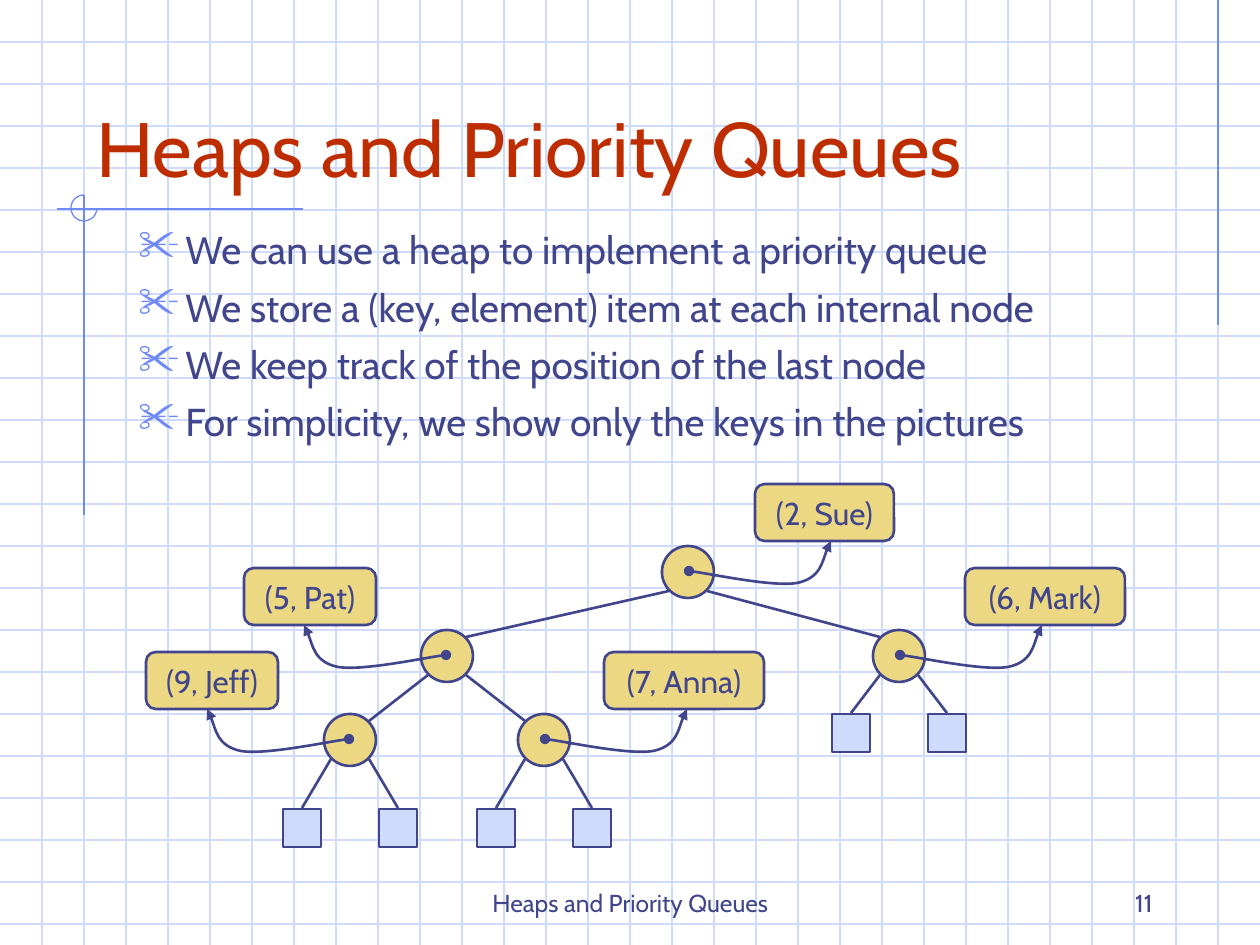
from dataclasses import dataclass

from lxml.etree import SubElement
from pptx import Presentation
from pptx.dml.color import RGBColor as RGB
from pptx.enum.shapes import MSO_CONNECTOR, MSO_SHAPE as SHAPE
from pptx.enum.text import MSO_ANCHOR as ANCHOR, PP_ALIGN as ALIGN
from pptx.oxml.ns import qn
from pptx.util import Emu, Pt

TITLE = "Heaps and Priority Queues"
POINTS = [
    "We can use a heap to implement a priority queue",
    "We store a (key, element) item at each internal node",
    "We keep track of the position of the last node",
    "For simplicity, we show only the keys in the pictures",
]
PAGE_NUMBER = "11"


@dataclass
class HeapNode:
    item: str
    center: tuple
    label_left: int
    label_width: int
    side: int
    children: tuple = ()
    leaf_y: int = 0


HEAP = {
    2: HeapNode("(2, Sue)", (688, 572), 755, 139, 1, children=(5, 6)),
    5: HeapNode("(5, Pat)", (447, 656), 244, 132, -1, children=(9, 7)),
    6: HeapNode("(6, Mark)", (899, 656), 965, 160, 1, leaf_y=733),
    9: HeapNode("(9, Jeff)", (350, 740), 146, 132, -1, leaf_y=828),
    7: HeapNode("(7, Anna)", (544, 740), 604, 160, 1, leaf_y=828),
}


@dataclass(frozen=True)
class Theme:
    font: str = "Cabin"
    ink: RGB = RGB(0x40, 0x45, 0x8C)
    title: RGB = RGB(0xBE, 0x2D, 0x00)
    accent: RGB = RGB(0x6F, 0x89, 0xF7)
    grid: RGB = RGB(0xCF, 0xDB, 0xFD)
    node: RGB = RGB(0xEC, 0xD8, 0x82)
    title_size: float = 44
    body_size: float = 22.2
    label_size: float = 18
    footer_size: float = 14
    thin: float = 0.75
    thick: float = 1.5


THEME = Theme()
WIDTH, HEIGHT = 1260, 945
GRID_STEP = 42
RADIUS, EDGE_INSET = 26, 19
LEAF_SIZE, LEAF_SPREAD = 38, 48
LABEL_RISE, LABEL_HEIGHT = 88, 57
POINTER_STEPS = [(18, 2), (84, 16), (108, 12), (132, 7), (136, -21), (142, -30)]


def px(value):
    return Emu(round(value * 914400 / 126))


def add_line(slide, start, end, color, weight):
    line = slide.shapes.add_connector(MSO_CONNECTOR.STRAIGHT, *map(px, (*start, *end)))
    line.line.color.rgb = color
    line.line.width = Pt(weight)
    SubElement(line._element.spPr, qn("a:effectLst"))


def style_shape(shape, fill, color, weight):
    shape.shadow.inherit = False
    if fill is None:
        shape.fill.background()
    else:
        shape.fill.solid()
        shape.fill.fore_color.rgb = fill
    shape.line.color.rgb = color
    shape.line.width = Pt(weight)


def add_box(slide, kind, box, fill, color=THEME.ink, weight=THEME.thick):
    shape = slide.shapes.add_shape(kind, *map(px, box))
    style_shape(shape, fill, color, weight)
    return shape


def style_paragraph(paragraph, size, color, align):
    paragraph.alignment = align
    paragraph.font.name = THEME.font
    paragraph.font.size = Pt(size)
    paragraph.font.color.rgb = color


def add_text(slide, text, box, size, color, align):
    frame = slide.shapes.add_textbox(*map(px, box)).text_frame
    frame.word_wrap = True
    frame.vertical_anchor = ANCHOR.BOTTOM
    frame.text = text
    style_paragraph(frame.paragraphs[0], size, color, align)


def add_points(slide):
    frame = slide.shapes.add_textbox(*map(px, (126, 220, 1061, 262))).text_frame
    frame.word_wrap = True
    frame.text = "\n".join(POINTS)
    for index, paragraph in enumerate(frame.paragraphs):
        props = paragraph._p.get_or_add_pPr()
        props.set("marL", str(px(47)))
        props.set("indent", str(px(-47)))
        bullet_color = SubElement(props, qn("a:buClr"))
        SubElement(bullet_color, qn("a:srgbClr"), val=str(THEME.accent))
        SubElement(props, qn("a:buSzPct"), val="110000")
        SubElement(props, qn("a:buChar"), char="✂")
        paragraph.space_before = Pt(6 if index else 0)
        style_paragraph(paragraph, THEME.body_size, THEME.ink, ALIGN.LEFT)


def add_background(slide):
    for y in range(GRID_STEP, HEIGHT, GRID_STEP):
        add_line(slide, (0, y), (WIDTH, y), THEME.grid, THEME.thin)
    for x in range(GRID_STEP, WIDTH, GRID_STEP):
        add_line(slide, (x, 0), (x, HEIGHT), THEME.grid, THEME.thin)
    for start, end in [((1218, 0), (1218, 325)), ((303, 209), (57, 209)), ((84, 195), (84, 515))]:
        add_line(slide, start, end, THEME.accent, THEME.thin)
    arc = add_box(slide, SHAPE.ARC, (71, 195, 26, 26), None, THEME.accent, THEME.thin)
    arc.adjustments[0] = 0
    arc.adjustments[1] = 162


def add_centered(slide, kind, center, size):
    fill = THEME.node if kind == SHAPE.OVAL else THEME.grid
    x, y = center
    add_box(slide, kind, (x - size / 2, y - size / 2, size, size), fill)


def add_edge(slide, parent, side, end):
    x, y = parent.center
    add_line(slide, (x + side * EDGE_INSET, y + EDGE_INSET), end, THEME.ink, THEME.thick)


def add_label(slide, node):
    top = node.center[1] - LABEL_RISE
    box = (node.label_left, top, node.label_width, LABEL_HEIGHT)
    label = add_box(slide, SHAPE.ROUNDED_RECTANGLE, box, THEME.node)
    label.adjustments[0] = 0.17
    frame = label.text_frame
    frame.word_wrap = False
    frame.vertical_anchor = ANCHOR.MIDDLE
    frame.text = node.item
    style_paragraph(frame.paragraphs[0], THEME.label_size, THEME.ink, ALIGN.CENTER)


def add_pointer(slide, node):
    x, y = node.center[0] + node.side, node.center[1] - 1
    steps = [(px(x + node.side * dx), px(y + dy)) for dx, dy in POINTER_STEPS]
    builder = slide.shapes.build_freeform(px(x), px(y))
    builder.add_line_segments(steps, close=False)
    pointer = builder.convert_to_shape()
    style_shape(pointer, None, THEME.ink, THEME.thick)
    outline = pointer._element.spPr.find(".//" + qn("a:path"))
    segments = outline.findall(qn("a:lnTo"))
    for first in range(0, len(segments), 3):
        curve = SubElement(outline, qn("a:cubicBezTo"))
        for segment in segments[first:first + 3]:
            curve.append(segment[0])
            outline.remove(segment)
    stroke = pointer._element.spPr.find(qn("a:ln"))
    SubElement(stroke, qn("a:headEnd"), type="oval")
    SubElement(stroke, qn("a:tailEnd"), type="triangle")


def add_heap(slide):
    for node in HEAP.values():
        add_centered(slide, SHAPE.OVAL, node.center, 2 * RADIUS)
        for side, key in zip((-1, 1), node.children):
            x, y = HEAP[key].center
            add_edge(slide, node, side, (x - side * EDGE_INSET, y - EDGE_INSET))
        if node.leaf_y:
            for side in (-1, 1):
                x = node.center[0] + side * LEAF_SPREAD
                add_centered(slide, SHAPE.RECTANGLE, (x, node.leaf_y), LEAF_SIZE)
                add_edge(slide, node, side, (x, node.leaf_y - LEAF_SIZE / 2 - 1))
    for add_part in (add_label, add_pointer):
        for node in HEAP.values():
            add_part(slide, node)


def main():
    deck = Presentation()
    deck.slide_width, deck.slide_height = px(WIDTH), px(HEIGHT)
    slide = deck.slides.add_slide(deck.slide_layouts[6])
    add_background(slide)
    add_text(slide, TITLE, (431, 861, 399, 63), THEME.footer_size, THEME.ink, ALIGN.CENTER)
    add_text(slide, PAGE_NUMBER, (903, 861, 262, 63), THEME.footer_size, THEME.ink, ALIGN.RIGHT)
    add_text(slide, TITLE, (84, 42, 1071, 157), THEME.title_size, THEME.title, ALIGN.LEFT)
    add_points(slide)
    add_heap(slide)
    deck.save("out.pptx")


if __name__ == "__main__":
    main()
